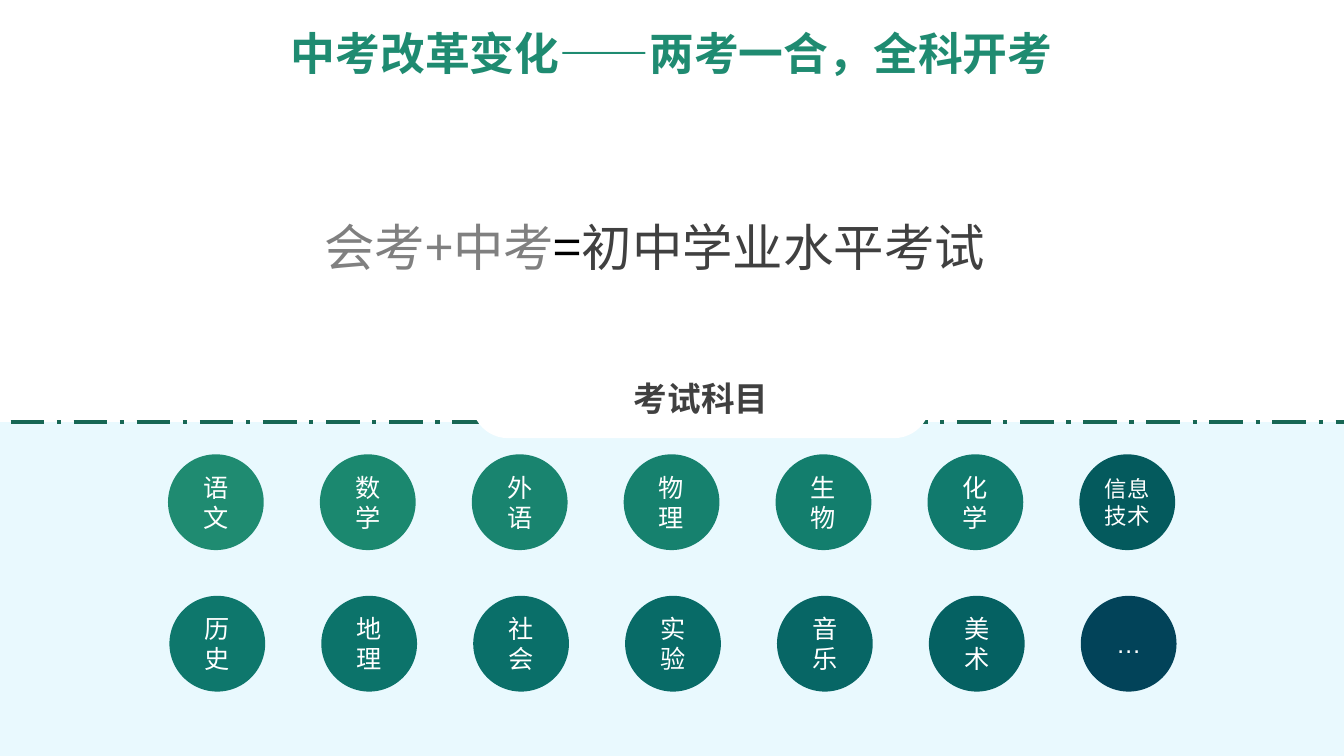
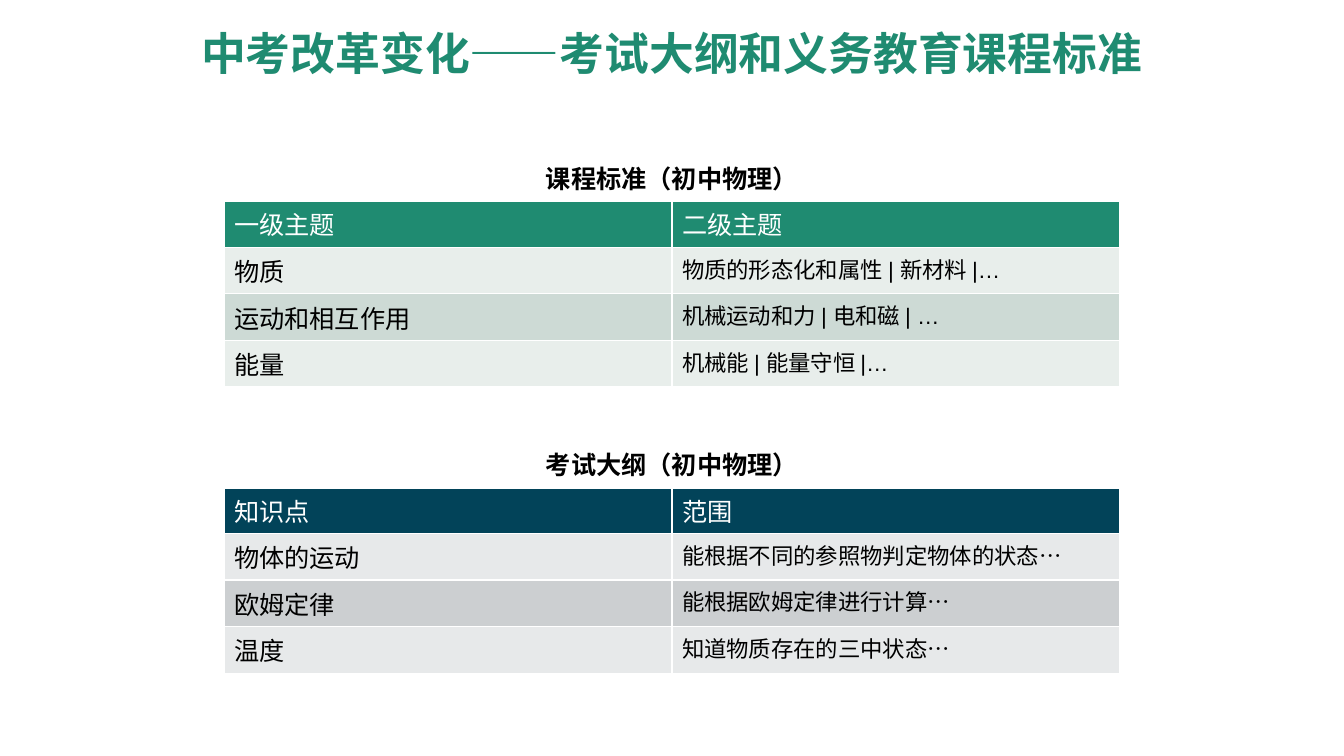
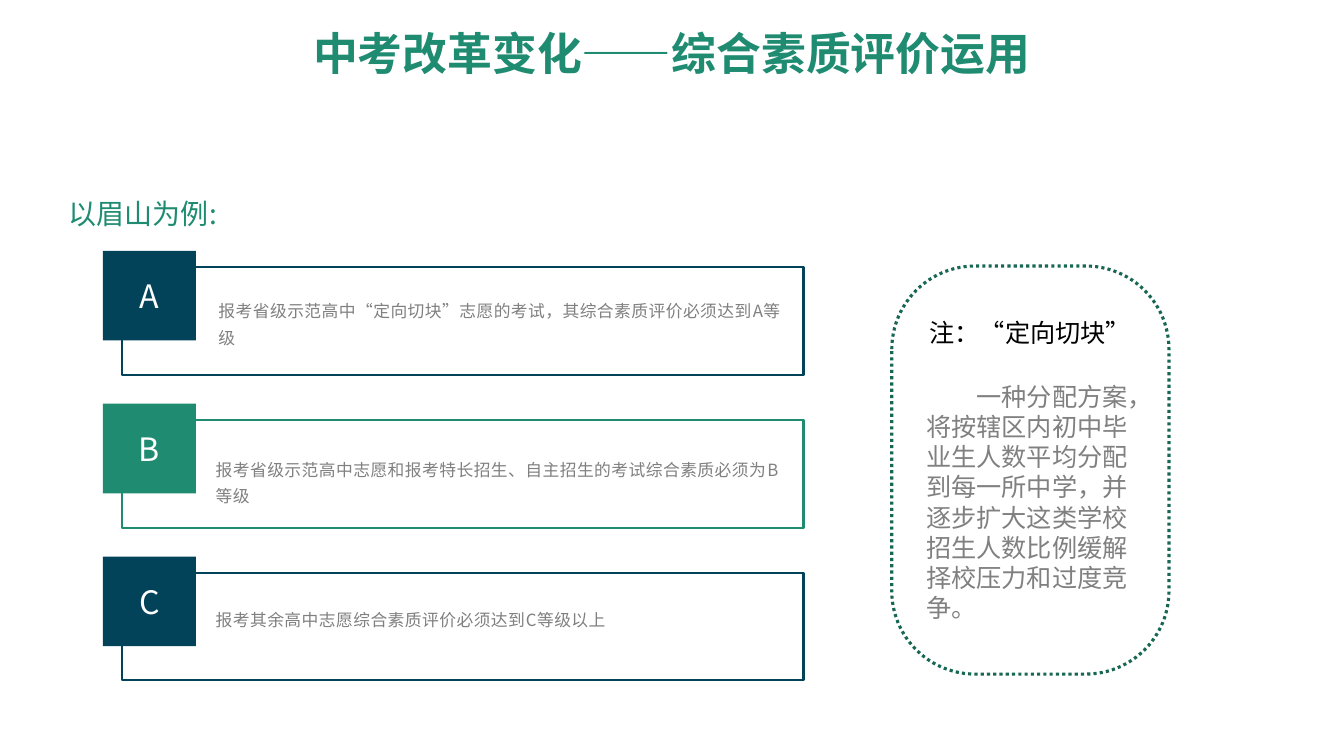
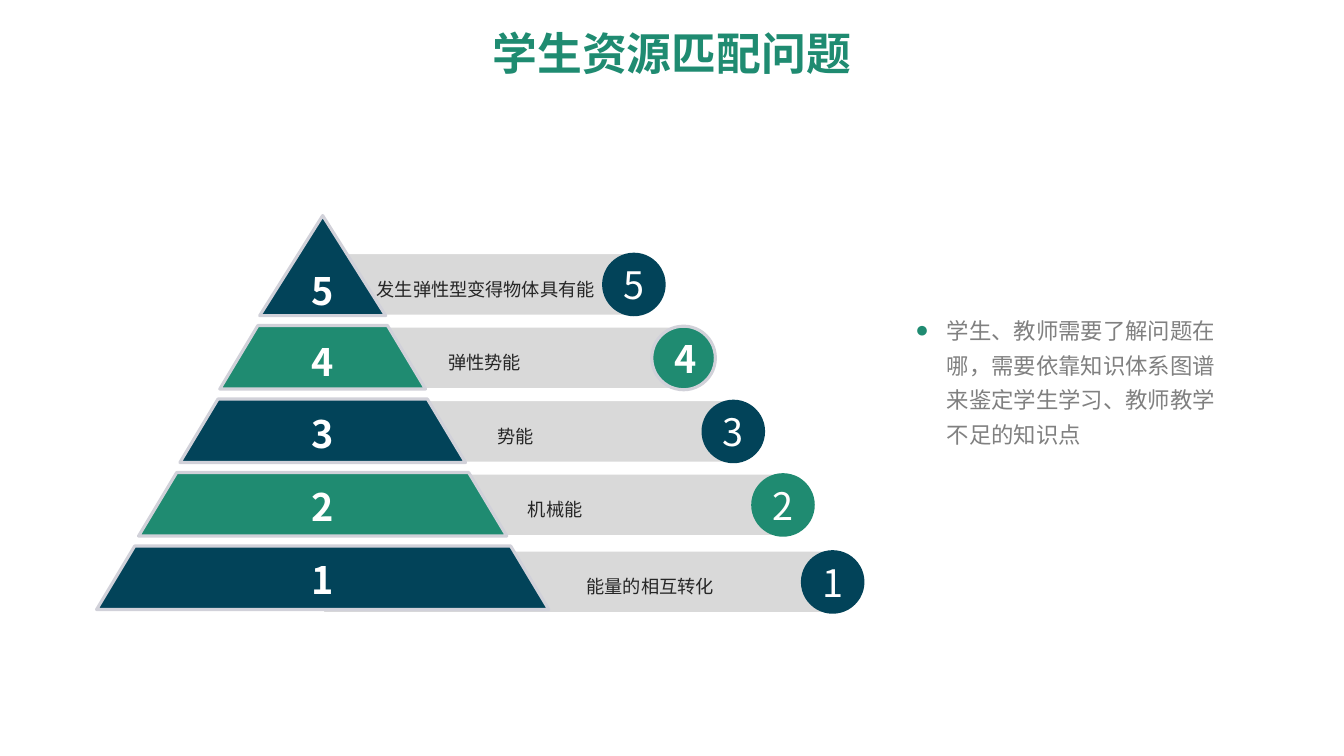
from lxml import etree
from pptx import Presentation
from pptx.dml.color import RGBColor
from pptx.enum.dml import MSO_LINE
from pptx.enum.shapes import MSO_SHAPE
from pptx.enum.text import MSO_ANCHOR, MSO_AUTO_SIZE, PP_ALIGN
from pptx.oxml.ns import qn
from pptx.util import Pt

RECTANGLE = MSO_SHAPE.RECTANGLE
ROUNDED = MSO_SHAPE.ROUNDED_RECTANGLE
ROUND_END = MSO_SHAPE.ROUND_2_SAME_RECTANGLE
OVAL = MSO_SHAPE.OVAL
TRIANGLE = MSO_SHAPE.FLOWCHART_EXTRACT
TRAPEZOID = MSO_SHAPE.TRAPEZOID
LEFT, CENTER = PP_ALIGN.LEFT, PP_ALIGN.CENTER
TOP, MIDDLE = MSO_ANCHOR.TOP, MSO_ANCHOR.MIDDLE
NO_AUTOFIT = MSO_AUTO_SIZE.NONE
LONG_DASH_DOT = MSO_LINE.LONG_DASH_DOT
ROUND_DOT = MSO_LINE.ROUND_DOT  # sysDot in the file

TITLE_ONLY, TITLE_AND_CONTENT = 5, 1
CHINESE, PLAIN, HEADING = "Noto Sans CJK SC", "Arial", "Montserrat"

COLORS = {
    "white": "FFFFFF", "black": "000000", "gray": "808080", "dark": "404040",
    "ink": "262626", "bar": "D9D9D9", "outline": "D1D1D9",
    "green": "1F8B71", "navy": "024359", "forest": "176754", "sky": "D6F4FE",
    "green_light": "E8EEEB", "green_mid": "CDDAD5",
    "navy_light": "E7E9EA", "navy_mid": "CCCFD1",
}
SUBJECT_COLORS = {
    "语文": "1F8B71", "数学": "1B886F", "外语": "19846F", "物理": "16816E",
    "生物": "137E6D", "化学": "117A6D", "信息技术": "045A5D",
    "历史": "0E776C", "地理": "0C736A", "社会": "0A6F69", "实验": "086B67",
    "音乐": "076665", "美术": "056162", "…": "024359",
}


def points(*values):
    return [Pt(value) for value in values]


def rgb(color):
    return RGBColor.from_string(COLORS.get(color, color))


def style_run(run, size, color, font=CHINESE, bold=False):
    run.font.size = Pt(size)
    run.font.bold = bold
    run.font.color.rgb = rgb(color)
    run.font.name = font
    etree.SubElement(run.font._element, qn("a:ea"), typeface=CHINESE)


def style_paragraph(paragraph, size, color, font=CHINESE, bold=False,
                    align=LEFT, spacing=None):
    paragraph.alignment = align
    if spacing:
        paragraph.line_spacing = spacing
    for run in paragraph.runs:
        style_run(run, size, color, font, bold)


def set_insets(frame, horizontal, vertical):
    frame.margin_left = frame.margin_right = Pt(horizontal)
    frame.margin_top = frame.margin_bottom = Pt(vertical)


def add_shape(slide, kind, box, fill=None, line=None, width=1.5, dash=None):
    shape = slide.shapes.add_shape(kind, *points(*box))
    shape.shadow.inherit = False
    if fill:
        shape.fill.solid()
        shape.fill.fore_color.rgb = rgb(fill)
    else:
        shape.fill.background()
    if line:
        shape.line.color.rgb = rgb(line)
        shape.line.width = Pt(width)
        if dash:
            shape.line.dash_style = dash
    else:
        shape.line.fill.background()
    return shape


def label_shape(shape, text, size, color="white", font=CHINESE, bold=False):
    frame = shape.text_frame
    frame.text = text
    frame.word_wrap = True
    frame.vertical_anchor = MIDDLE
    style_paragraph(frame.paragraphs[0], size, color, font, bold, CENTER)


def add_text(slide, box, text, size, color, wrap=True, anchor=TOP, spacing=None):
    frame = slide.shapes.add_textbox(*points(*box)).text_frame
    frame.text = text
    frame.word_wrap = wrap
    frame.vertical_anchor = anchor
    style_paragraph(frame.paragraphs[0], size, color, spacing=spacing)
    return frame.paragraphs[0]


def place_master_title(presentation):
    title = presentation.slide_master.placeholders[0]
    title.left, title.top, title.width, title.height = points(66, 16.5, 828, 47.5)
    title.text_frame.vertical_anchor = MIDDLE
    title.text_frame.auto_size = NO_AUTOFIT


def add_slide(presentation, title, layout=TITLE_ONLY):
    slide = presentation.slides.add_slide(presentation.slide_layouts[layout])
    frame = slide.shapes.title.text_frame
    frame.text = title
    style_paragraph(frame.paragraphs[0], 32, "green", HEADING, True, CENTER, 0.9)
    return slide


def add_equation(slide, box):
    paragraph = add_text(slide, box, "会考+中考", 36, "gray")
    for text, color in (("=", "black"), ("初中学业水平考试", "dark")):
        run = paragraph.add_run()
        run.text = text
        style_run(run, 36, color)


def add_subject_circles(slide, left, top):
    columns, diameter = 7, 68.4
    for index, (subject, color) in enumerate(SUBJECT_COLORS.items()):
        row, column = divmod(index, columns)
        box = (left + 108.5 * column + row, top + 101.1 * row, diameter, diameter)
        circle = add_shape(slide, OVAL, box, color)
        label_shape(circle, subject, 16 if len(subject) > 2 else 18, font=PLAIN)


def build_subjects_slide(presentation):
    slide = add_slide(presentation, "中考改革变化——两考一合，全科开考")
    panel = add_shape(slide, RECTANGLE, (-36.5, 301.5, 1061, 417),
                      "sky", "forest", 3, LONG_DASH_DOT)
    panel_color = panel.element.spPr.find(qn("a:solidFill"))[0]
    etree.SubElement(panel_color, qn("a:alpha"), val="53000")
    add_subject_circles(slide, 120, 324.5)
    add_equation(slide, (224.5, 150.5, 494, 51))
    tab = add_shape(slide, ROUNDED, (337, 255.5, 327.5, 57.5), "white")
    tab.adjustments[0] = 0.45
    label_shape(tab, "考试科目", 24, "dark", PLAIN, True)


def set_borders(cell, bottom=1):
    properties = cell._tc.get_or_add_tcPr()
    for side, width in (("L", 1), ("R", 1), ("T", 1), ("B", bottom)):
        line = etree.SubElement(properties, qn(f"a:ln{side}"), w=str(Pt(width)))
        fill = etree.SubElement(line, qn("a:solidFill"))
        etree.SubElement(fill, qn("a:srgbClr"), val=COLORS["white"])


def fill_cell(cell, text, fill, size=18, color="black", bold=False,
              align=LEFT, bottom=1):
    set_borders(cell, bottom)
    cell.fill.solid()
    cell.fill.fore_color.rgb = rgb(fill)
    cell.text = text
    style_paragraph(cell.text_frame.paragraphs[0], size, color, PLAIN, bold, align)


def add_topic_table(slide, box, caption, header, rows, hue):
    shape = slide.shapes.add_table(len(rows) + 2, 2, *points(*box))
    table = shape.table
    table.first_row = table.horz_banding = False
    caption_cell = table.cell(0, 0)
    caption_cell.merge(table.cell(0, 1))
    fill_cell(caption_cell, caption, "white", bold=True, align=CENTER, bottom=3)
    for column, text in enumerate(header):
        fill_cell(table.cell(1, column), text, hue, color="white")
    for index, row in enumerate(rows):
        band = f"{hue}_mid" if index % 2 else f"{hue}_light"
        for column, text in enumerate(row):
            fill_cell(table.cell(index + 2, column), text, band, (18, 16)[column])


def build_tables_slide(presentation):
    slide = add_slide(presentation, "中考改革变化——考试大纲和义务教育课程标准")
    add_topic_table(
        slide, (160, 110, 640, 146), "课程标准（初中物理）", ("一级主题", "二级主题"),
        [("物质", "物质的形态化和属性 | 新材料 |…"),
         ("运动和相互作用", "机械运动和力 | 电和磁 | …"),
         ("能量", "机械能 | 能量守恒 |…")], "green")
    add_topic_table(
        slide, (160, 314.5, 640, 146), "考试大纲（初中物理）", ("知识点", "范围"),
        [("物体的运动", "能根据不同的参照物判定物体的状态…"),
         ("欧姆定律", "能根据欧姆定律进行计算…"),
         ("温度", "知道物质存在的三中状态…")], "navy")


def add_grade(slide, left, top, grade, color, text, text_left, text_top):
    """Place a framed rule with its letter badge; text is offset from the badge."""
    add_shape(slide, RECTANGLE, (left + 13.5, top + 11.5, 487, 77), line=color)
    badge = add_shape(slide, RECTANGLE, (left, top, 66.5, 64), color)
    label_shape(badge, grade, 23)
    paragraph = add_text(slide, (left + text_left, top + text_top, 418.5, 43),
                         text, 12, "gray", spacing=1.3)
    paragraph.runs[0].font._element.set("spc", "30")


def add_note(slide, box):
    note = add_shape(slide, ROUNDED, box, "white", "forest", 2.25, ROUND_DOT)
    note.adjustments[0] = 0.3
    label_shape(note, "注：“定向切块”", 18, "black", PLAIN)
    paragraph = note.text_frame.add_paragraph()
    paragraph.text = ("一种分配方案，将按辖区内初中毕业生人数平均分配到每一所中学，"
                      "并逐步扩大这类学校招生人数比例缓解择校压力和过度竞争。")
    style_paragraph(paragraph, 18, "gray", PLAIN)
    paragraph.space_before = Pt(24)
    paragraph._p.get_or_add_pPr().set("indent", str(Pt(36)))


def build_grades_slide(presentation):
    slide = add_slide(presentation, "中考改革变化——综合素质评价运用")
    add_text(slide, (42, 137, 121, 31.5), "以眉山为例:", 20, "green", wrap=False)
    grades = [
        ("A", "navy", "报考省级示范高中“定向切块”志愿的考试，其综合素质评价必须达到A等级",
         75.5, 28),
        ("B", "green", "报考省级示范高中志愿和报考特长招生、自主招生的考试综合素质必须为B等级",
         73.5, 32),
        ("C", "navy", "报考其余高中志愿综合素质评价必须达到C等级以上", 73.5, 30),
    ]
    for index, grade in enumerate(grades):
        add_grade(slide, 73.5, 179.2 + 109.2 * index, *grade)
    add_note(slide, (637, 190, 198, 291.5))


def add_level_bar(slide, left, top, length, number, color, label, label_left,
                  outlined):
    """Place a bar with a round right end, its label and its numbered circle."""
    height = 45.4
    box = (left + (length - height) / 2, top + (height - length) / 2, height, length)
    bar = add_shape(slide, ROUND_END, box, "bar", "white", 2.25)
    bar.rotation = 90
    bar.adjustments[0], bar.adjustments[1] = 0.5, 0
    circle = add_shape(slide, OVAL, (left + length - height, top, height, height),
                       color, "outline" if outlined else None, 2.25)
    label_shape(circle, number, 27, bold=outlined)
    if outlined:
        set_insets(circle.text_frame, 9.4, 5)
    add_text(slide, (label_left, top + 8, 13 * len(label) + 15, 28), label, 13,
             "ink", wrap=False, anchor=MIDDLE, spacing=1.5)


def add_tier(slide, kind, center, top, width, height, number, color):
    tier = add_shape(slide, kind, (center - width / 2, top, width, height),
                     color, "outline", 2.25)
    if kind == TRAPEZOID:
        tier.adjustments[0] = 0.6
    label_shape(tier, number, 27, bold=True)
    set_insets(tier.text_frame, 9.4, 5)


def add_pyramid(slide, center, top):
    levels = [("5", "发生弹性型变得物体具有能", 262, 90),
              ("4", "弹性势能", 313, 147),
              ("3", "势能", 348.5, 204),
              ("2", "机械能", 370, 263),
              ("1", "能量的相互转化", 412, 323)]
    pitch, last = 52.5, len(levels) - 1
    colors = ("navy", "green")
    for index in range(last, -1, -1):
        number, label, label_left, _ = levels[index]
        bar_top = top + 26.5 + pitch * index + (2.5 if index == last else 0)
        add_level_bar(slide, center, bar_top, 245 + 35.5 * index, number,
                      colors[index % 2], label, label_left, number == "4")
    for index, (number, _, _, width) in enumerate(levels):
        kind, offset, height = ((TRAPEZOID, 26 + pitch * index, 45.4) if index
                                else (TRIANGLE, 0, 71.5))
        add_tier(slide, kind, center, top + offset, width, height, number,
                 colors[index % 2])


def fill_body(body, box, text):
    body.left, body.top, body.width, body.height = points(*box)
    frame = body.text_frame
    frame.text = text
    frame.auto_size = NO_AUTOFIT
    set_insets(frame, 9.4, 5)
    paragraph = frame.paragraphs[0]
    style_paragraph(paragraph, 16, "gray", spacing=1.3)
    paragraph.space_before = Pt(8)
    properties = paragraph._p.get_or_add_pPr()
    properties.set("marL", str(Pt(22.5)))
    properties.set("indent", str(Pt(-22.5)))
    bullet_color = etree.SubElement(properties, qn("a:buClr"))
    etree.SubElement(bullet_color, qn("a:srgbClr"), val=COLORS["green"])
    etree.SubElement(properties, qn("a:buChar"), char="●")


def build_pyramid_slide(presentation):
    slide = add_slide(presentation, "学生资源匹配问题", TITLE_AND_CONTENT)
    add_pyramid(slide, 230.5, 154)
    fill_body(slide.placeholders[1], (644.5, 215.5, 234, 108),
              "学生、教师需要了解问题在哪，需要依靠知识体系图谱来鉴定学生学习、教师教学不足的知识点")


def main():
    presentation = Presentation()
    presentation.slide_width, presentation.slide_height = points(960, 540)
    place_master_title(presentation)
    build_subjects_slide(presentation)
    build_tables_slide(presentation)
    build_grades_slide(presentation)
    build_pyramid_slide(presentation)
    presentation.save("out.pptx")


if __name__ == "__main__":
    main()
